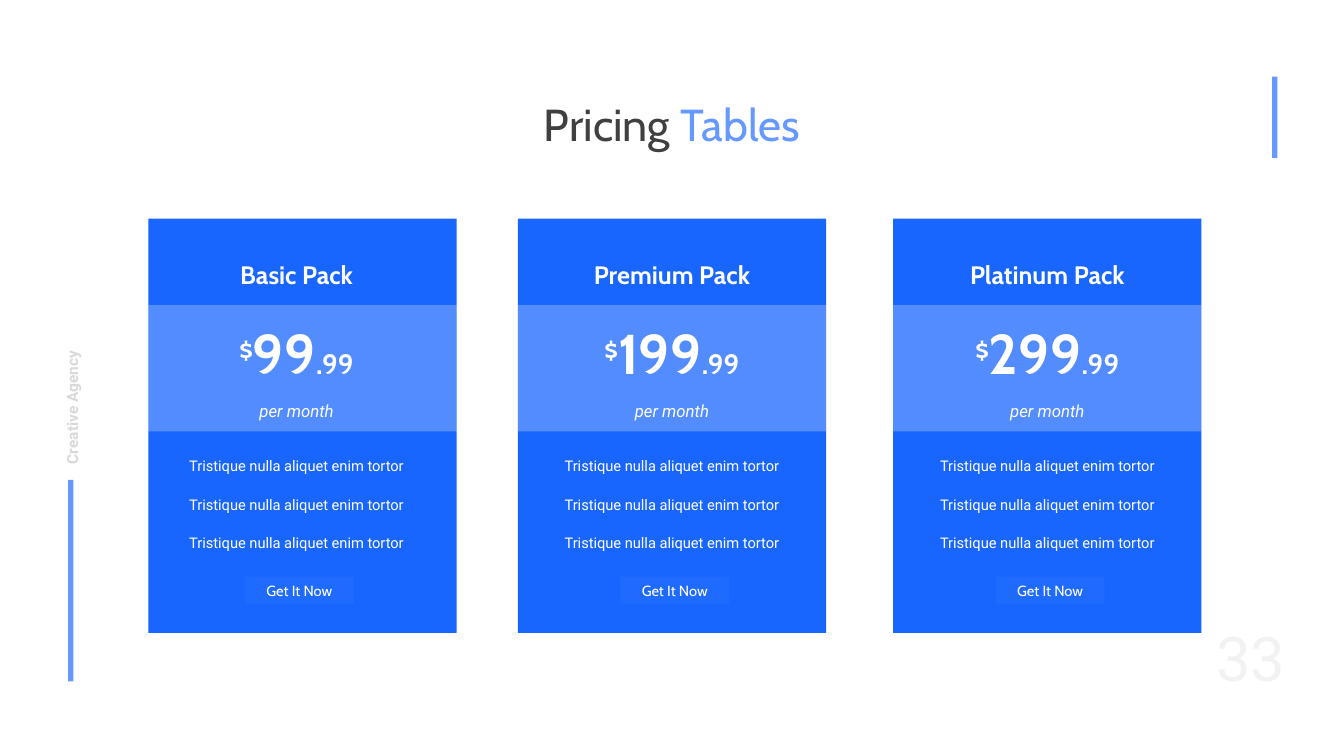
from lxml import etree
from pptx import Presentation
from pptx.dml.color import RGBColor
from pptx.enum.shapes import MSO_SHAPE
from pptx.enum.text import MSO_ANCHOR, MSO_AUTO_SIZE, PP_ALIGN
from pptx.oxml.ns import qn
from pptx.util import Cm, Pt

WHITE = RGBColor(0xFF, 0xFF, 0xFF)
BLUE = RGBColor(0x19, 0x66, 0xFF)
BUTTON_BLUE = RGBColor(0x37, 0x7A, 0xFF)
ACCENT = RGBColor(0x66, 0x99, 0xFF)
DARK = RGBColor(0x40, 0x40, 0x40)
GREY = RGBColor(0xD9, 0xD9, 0xD9)
PALE = RGBColor(0xF2, 0xF2, 0xF2)
HEADING, BODY = "Cabin", "Roboto"

CARD_W, CARD_H = 7.77, 10.44
FEATURES = ["Tristique nulla aliquet enim tortor"] * 3
# name, whole price, cents, card left, offset of the text axis from the card centre
PACKS = [
    ("Basic Pack", "99", ".99", 3.74, -0.15),
    ("Premium Pack", "199", ".99", 13.05, 0),
    ("Platinum Pack", "299", ".99", 22.51, 0),
]


def add_rect(shapes, x, y, w, h, color, opacity=None):
    s = shapes.add_shape(MSO_SHAPE.RECTANGLE, Cm(x), Cm(y), Cm(w), Cm(h))
    s.shadow.inherit = False
    s.fill.solid()
    s.fill.fore_color.rgb = color
    s.line.fill.background()
    if opacity is not None:
        clr = s._element.spPr.find(qn("a:solidFill")).find(qn("a:srgbClr"))
        etree.SubElement(clr, qn("a:alpha")).set("val", str(opacity * 1000))
    return s


def add_run(p, text, size, color, font=BODY, bold=False, italic=False, raised=False):
    r = p.add_run()
    r.text = text
    r.font.name = font
    r.font.size = Pt(size)
    r.font.bold = bold
    r.font.italic = italic
    r.font.color.rgb = color
    if raised:
        r._r.get_or_add_rPr().set("baseline", "30000")


def add_text(shapes, x, y, w, h, align=PP_ALIGN.CENTER, spacing=1.5, wrap=True):
    """Add an empty text box and return it with its first paragraph."""
    s = shapes.add_textbox(Cm(x), Cm(y), Cm(w), Cm(h))
    tf = s.text_frame
    tf.word_wrap = wrap
    tf.auto_size = MSO_AUTO_SIZE.SHAPE_TO_FIT_TEXT
    p = tf.paragraphs[0]
    p.alignment = align
    p.line_spacing = spacing
    return s, p


def add_centered(shapes, axis, y, w, h, **options):
    return add_text(shapes, axis - w / 2, y, w, h, **options)[1]


def add_frame(shapes):
    # Accent bars
    add_rect(shapes, 1.72, 12.09, 0.13, 5.08, ACCENT)
    add_rect(shapes, 32.06, 1.93, 0.13, 2.05, ACCENT)

    # Vertical agency label
    s, p = add_text(shapes, -0.26, 9.57, 3.86, 0.89, align=PP_ALIGN.JUSTIFY)
    s.rotation = 270
    add_run(p, "Creative Agency", 11, GREY, bold=True)

    # Page number
    p = add_centered(shapes, 31.52, 15.5, 2.5, 1.95, spacing=1)
    add_run(p, "33", 44, PALE)


def add_title(shapes, x, y, w, h):
    p = add_text(shapes, x, y, w, h, spacing=1)[1]
    add_run(p, "Pricing ", 32, DARK, HEADING)
    add_run(p, "Tables", 32, ACCENT, HEADING)


def add_card(shapes, x, y, w, h, name, whole, cents, shift):
    axis = x + w / 2 + shift

    # Card and price band
    add_rect(shapes, x, y, w, h, BLUE)
    add_rect(shapes, x, y + 2.18, w, 3.18, WHITE, opacity=25)

    # Pack name
    p = add_centered(shapes, axis, y + 0.53, 7.42, 1.27)
    add_run(p, name, 18, WHITE, HEADING, bold=True)

    # Price and period
    price = shapes.add_group_shape().shapes
    p = add_centered(price, axis, y + 2.39, 5, 1.96, spacing=1, wrap=False)
    add_run(p, "$", 32, WHITE, HEADING, bold=True, raised=True)
    add_run(p, whole, 40, WHITE, HEADING, bold=True)
    add_run(p, cents, 20, WHITE, HEADING, bold=True)
    p = add_centered(price, axis, y + 4.22, 3.4, 0.94)
    add_run(p, "per month", 12, WHITE, italic=True)

    # Features
    for i, feature in enumerate(FEATURES):
        p = add_centered(shapes, axis, y + 5.66 + 0.97 * i, 7.06, 0.86)
        add_run(p, feature, 10.5, WHITE)

    # Button
    s = add_rect(shapes, axis - 1.3, y + 9.02, 2.74, 0.69, BUTTON_BLUE, opacity=25)
    tf = s.text_frame
    tf.vertical_anchor = MSO_ANCHOR.MIDDLE
    p = tf.paragraphs[0]
    p.alignment = PP_ALIGN.CENTER
    add_run(p, "Get It Now", 10.5, WHITE, HEADING)


def main():
    prs = Presentation()
    prs.slide_width, prs.slide_height = Cm(33.87), Cm(19.05)
    shapes = prs.slides.add_slide(prs.slide_layouts[6]).shapes

    add_frame(shapes)
    for name, whole, cents, left, shift in PACKS:
        add_card(shapes, left, 5.51, CARD_W, CARD_H, name, whole, cents, shift)
    add_title(shapes, 11.4, 2.31, 11.07, 1.63)

    prs.save("out.pptx")


if __name__ == "__main__":
    main()
